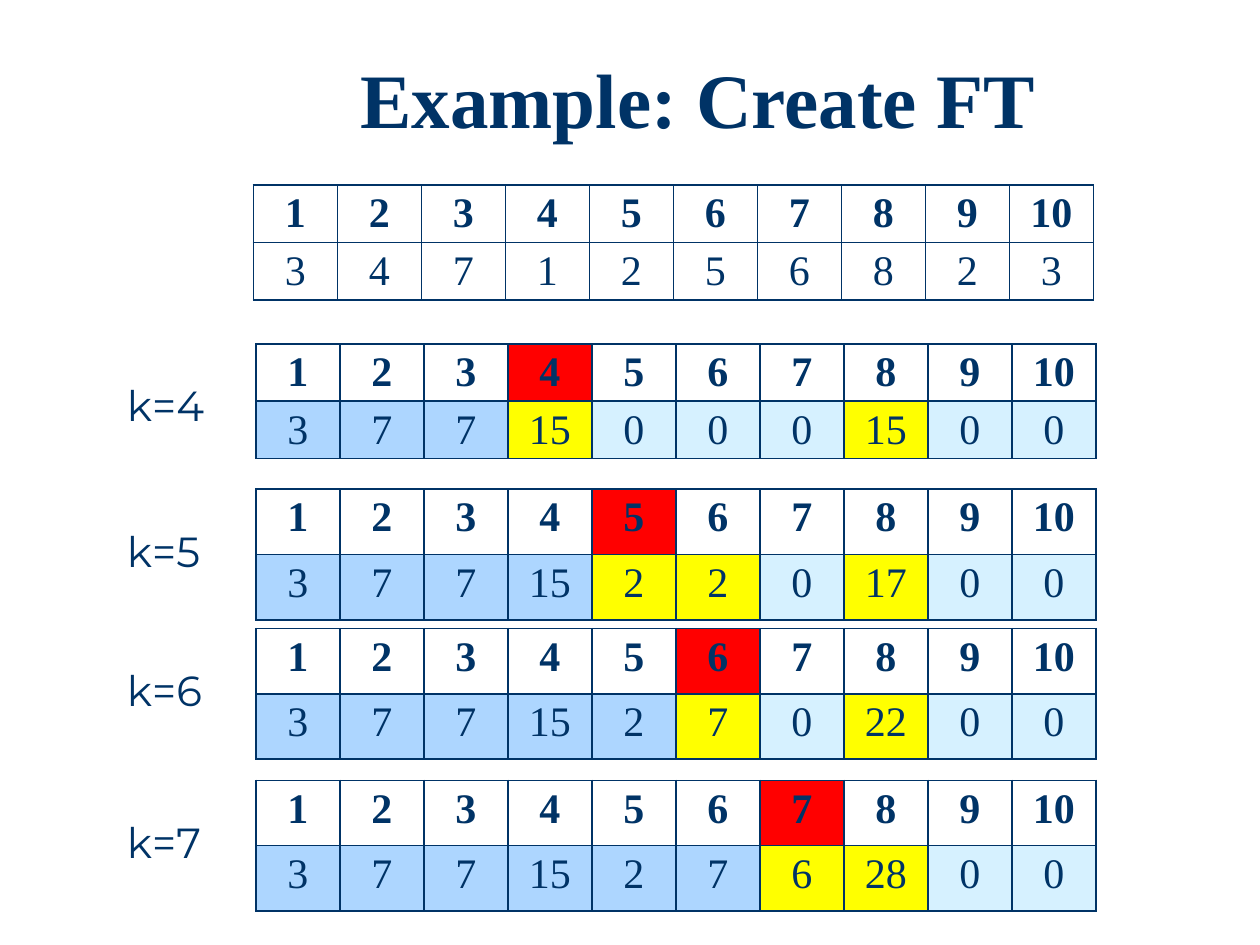
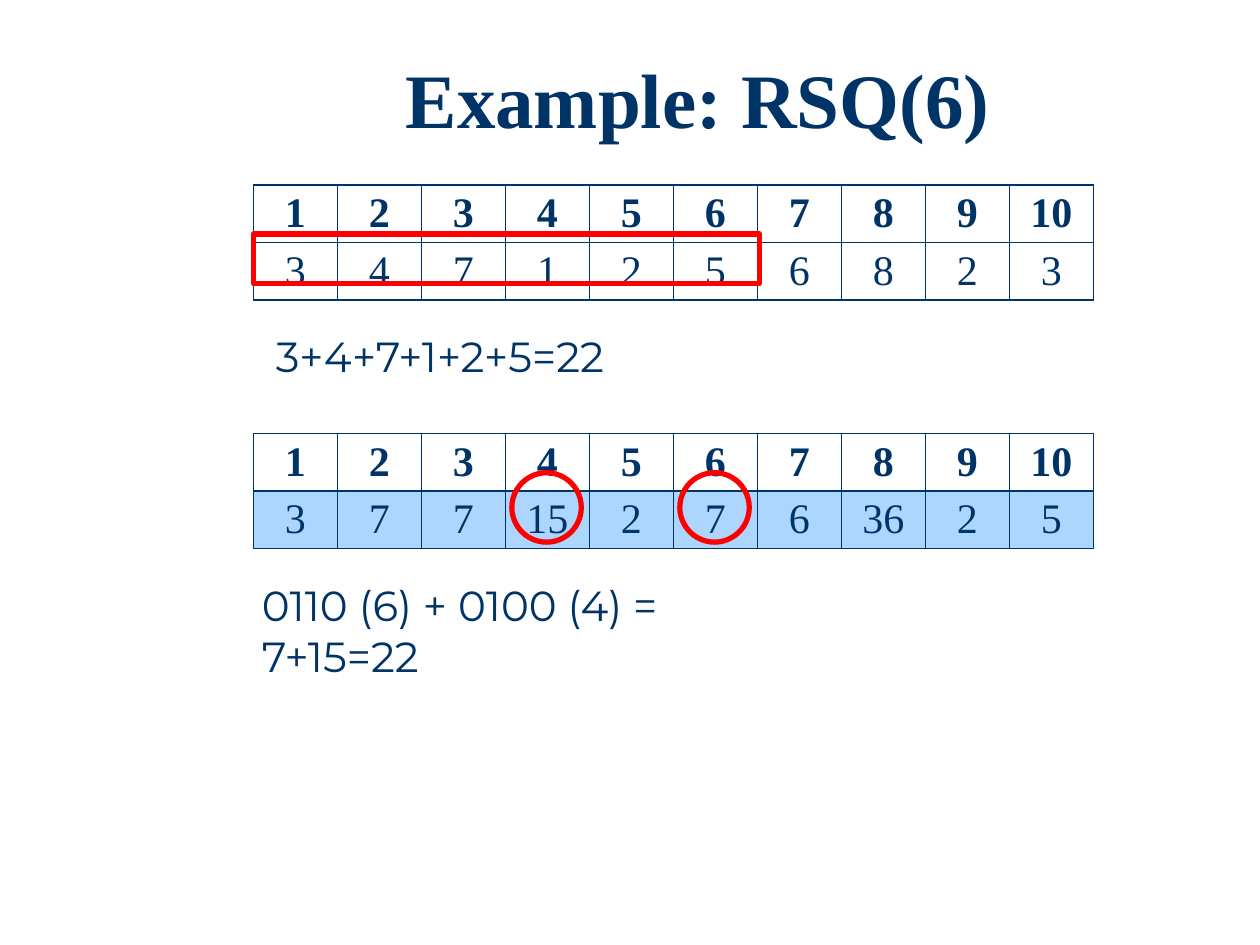
from dataclasses import dataclass

from lxml.etree import SubElement
from pptx import Presentation
from pptx.dml.color import RGBColor
from pptx.enum.shapes import MSO_SHAPE
from pptx.enum.text import MSO_ANCHOR, MSO_AUTO_SIZE, PP_ALIGN
from pptx.oxml.ns import qn
from pptx.util import Cm, Pt


@dataclass(frozen=True)
class Theme:
    ink: RGBColor = RGBColor.from_string("003366")
    paper: RGBColor = RGBColor.from_string("FFFFFF")
    current: RGBColor = RGBColor.from_string("FF0000")
    changed: RGBColor = RGBColor.from_string("FFFF00")
    filled: RGBColor = RGBColor.from_string("ADD6FF")
    empty: RGBColor = RGBColor.from_string("D6F1FF")
    serif: str = "Times New Roman"
    sans: str = "Montserrat"
    title_size: Pt = Pt(44)
    body_size: Pt = Pt(24)


theme = Theme()
VALUES = [3, 4, 7, 1, 2, 5, 6, 8, 2, 3]
COUNT = len(VALUES)
POSITIONS = range(1, COUNT + 1)
TABLE_WIDTH = 16.93
COLUMN_WIDTH = TABLE_WIDTH / COUNT
TABLE_LEFT, STEP_LEFT, TABLE_TOP = 5.11, 5.16, 3.73
TREE_TOP = 8.74


def add_array(slide, left, top, values, value_fills, current=None, bottom_margin=0.11):
    """Draw the positions 1 to 10 above their values; lengths are in centimetres."""
    frame = slide.shapes.add_table(2, COUNT, Cm(left), Cm(top), Cm(TABLE_WIDTH), Cm(2.06))
    table = frame.table
    table.first_row = table.horz_banding = False
    header_fills = [theme.current if position == current else theme.paper
                    for position in POSITIONS]
    rows = [(POSITIONS, header_fills), (values, value_fills)]
    for row, (numbers, fills) in enumerate(rows):
        for column, (number, fill) in enumerate(zip(numbers, fills)):
            cell = table.cell(row, column)
            cell.margin_top, cell.margin_bottom = Cm(0.11), Cm(bottom_margin)
            properties = cell._tc.get_or_add_tcPr()
            for side in ("a:lnL", "a:lnR", "a:lnT", "a:lnB"):
                border = SubElement(properties, qn(side), w=str(Pt(1)))
                solid = SubElement(border, qn("a:solidFill"))
                SubElement(solid, qn("a:srgbClr"), val=str(theme.ink))
            cell.fill.solid()
            cell.fill.fore_color.rgb = fill
            paragraph = cell.text_frame.paragraphs[0]
            paragraph.text = str(number)
            paragraph.alignment = PP_ALIGN.CENTER
            font = paragraph.runs[0].font
            font.name, font.size, font.bold = theme.serif, theme.body_size, row == 0
            font.color.rgb = theme.ink


def add_label(slide, text, left, top, width):
    label = slide.shapes.add_textbox(Cm(left), Cm(top), Cm(width), Cm(1.27))
    label.text_frame.text = text
    label.text_frame.word_wrap = False
    label.text_frame.auto_size = MSO_AUTO_SIZE.SHAPE_TO_FIT_TEXT
    font = label.text_frame.paragraphs[0].runs[0].font
    font.name, font.size = theme.sans, theme.body_size
    font.color.rgb = theme.ink


presentation = Presentation()
presentation.slide_width, presentation.slide_height = Cm(25.4), Cm(19.05)

# Both slides: title and the source array
slides = []
for title_text in ("Example: Create FT", "Example: RSQ(6)"):
    slide = presentation.slides.add_slide(presentation.slide_layouts[5])
    title = slide.shapes.title
    title.left, title.top, title.width, title.height = Cm(3.91), Cm(0.91), Cm(20.32), Cm(2.34)
    title.text_frame.text = title_text
    title.text_frame.vertical_anchor = MSO_ANCHOR.MIDDLE
    paragraph = title.text_frame.paragraphs[0]
    paragraph.alignment = PP_ALIGN.CENTER
    paragraph.line_spacing = 0.9
    font = paragraph.runs[0].font
    font.name, font.size, font.bold = theme.serif, theme.title_size, True
    font.color.rgb = theme.ink
    add_array(slide, TABLE_LEFT, TABLE_TOP, VALUES, [theme.paper] * COUNT)
    slides.append(slide)
create_slide, query_slide = slides

# Create the Fenwick tree and show steps 4 to 7: k -> (top, bottom margin)
shown_steps = {4: (6.93, 0.11), 5: (9.86, 0.19), 6: (12.67, 0.19), 7: (15.73, 0.19)}
tree = [0] * COUNT
for k, value in enumerate(VALUES, start=1):
    changed = []
    position = k
    while position <= COUNT:
        tree[position - 1] += value
        changed.append(position)
        position += position & -position
    if k in shown_steps:
        top, bottom_margin = shown_steps[k]
        fills = [theme.changed if position in changed
                 else theme.filled if position < k else theme.empty
                 for position in POSITIONS]
        add_array(create_slide, STEP_LEFT, top, tree, fills, k, bottom_margin)
        add_label(create_slide, f"k={k}", 2.31, top + 0.6, 2.21)

# Query the finished tree
add_array(query_slide, TABLE_LEFT, TREE_TOP, tree, [theme.filled] * COUNT)
add_label(query_slide, "3+4+7+1+2+5=22", 5.31, 6.53, 8.46)
add_label(query_slide, "0110 (6) + 0100 (4) = 7+15=22", 5.03, 11.56, 11.23)

markers = [(MSO_SHAPE.RECTANGLE, TABLE_LEFT, 4.72, 10.2, 1)]
for position in (6, 4):
    left = TABLE_LEFT + (position - 1) * COLUMN_WIDTH + 0.13
    markers.append((MSO_SHAPE.OVAL, left, 9.53, 1.4, 1.4))
for kind, *bounds in markers:
    marker = query_slide.shapes.add_shape(kind, *map(Cm, bounds))
    marker.shadow.inherit = False
    marker.fill.background()
    marker.line.color.rgb = theme.current
    marker.line.width = Pt(3)

presentation.save("out.pptx")
